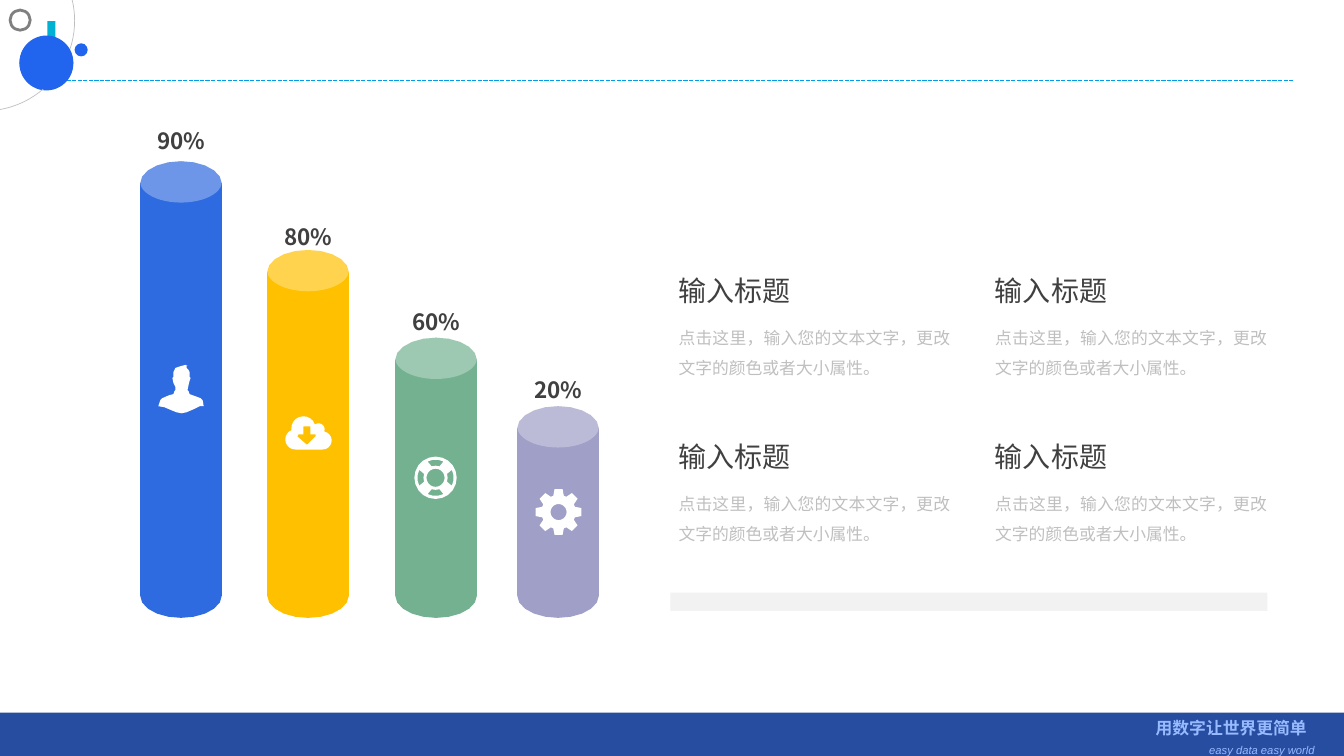
from dataclasses import dataclass
from itertools import product
from math import cos, radians, sin

from lxml.etree import SubElement
from pptx import Presentation
from pptx.dml.color import RGBColor
from pptx.enum.dml import MSO_LINE
from pptx.enum.shapes import MSO_CONNECTOR, MSO_SHAPE
from pptx.enum.text import MSO_ANCHOR, MSO_AUTO_SIZE, PP_ALIGN
from pptx.oxml.ns import qn
from pptx.util import Inches, Pt

Point = tuple[float, float]
Outline = list[Point]
NOTO = "Noto Sans CJK SC"
WHITE = "FFFFFF"
BLUE = "2164ED"
DARK = "404040"
BASE = 5.91
COLUMN_WIDTH = 0.81
CAP_HEIGHT = 0.41
CARD_TEXT = "点击这里，输入您的文本文字，更改文字的颜色或者大小属性。"

LABEL_FORMAT = {"size": Pt(16), "bold": True, "name": NOTO}
TITLE_FORMAT = {"size": Pt(20), "name": NOTO}
BODY_FORMAT = {"size": Pt(12), "name": NOTO}
SLOGAN_FORMAT = {"size": Pt(12), "bold": True, "name": "Arial"}
TAGLINE_FORMAT = {"size": Pt(8), "italic": True, "name": "Arial"}


@dataclass
class Preset:
    kind: MSO_SHAPE
    box: tuple[float, float, float, float]
    fill: str | None = None
    line: str | None = None
    weight: float = 1
    alpha: int = 100
    adjustments: tuple[float, ...] = ()


@dataclass
class Column:
    left: float
    top: float
    label_top: float
    label: str
    color: str
    icon: list[Outline]


def rgb(color: str) -> RGBColor:
    return RGBColor.from_string(color)


def paint(shape, fill: str | None, line: str | None = None, weight: float = 1) -> None:
    shape.shadow.inherit = False
    if fill:
        shape.fill.solid()
        shape.fill.fore_color.rgb = rgb(fill)
    else:
        shape.fill.background()
    if line:
        shape.line.color.rgb = rgb(line)
        shape.line.width = Pt(weight)
    else:
        shape.line.fill.background()


def add_preset(shapes, preset: Preset) -> None:
    shape = shapes.add_shape(preset.kind, *map(Inches, preset.box))
    paint(shape, preset.fill, preset.line, preset.weight)
    for index, value in enumerate(preset.adjustments):
        shape.adjustments[index] = value
    if preset.alpha < 100:
        color = shape.fill._xPr.find(".//" + qn("a:srgbClr"))
        SubElement(color, qn("a:alpha"), val=str(preset.alpha * 1000))


def add_outlines(shapes, outlines: list[Outline], fill: str) -> None:
    points = [[(Inches(x), Inches(y)) for x, y in outline] for outline in outlines]
    builder = shapes.build_freeform(*points[0][0], scale=1.0)
    builder.add_line_segments(points[0][1:], close=True)
    for hole in points[1:]:
        builder.move_to(*hole[0])
        builder.add_line_segments(hole[1:], close=True)
    paint(builder.convert_to_shape(), fill)


def add_text_box(shapes, box: tuple[float, float, float, float], margin: float = 0):
    frame = shapes.add_textbox(*map(Inches, box)).text_frame
    frame.word_wrap = True
    frame.auto_size = MSO_AUTO_SIZE.SHAPE_TO_FIT_TEXT
    frame.margin_left = frame.margin_right = Inches(margin)
    frame.margin_top = frame.margin_bottom = Inches(margin / 2)
    return frame


def write(paragraph, text: str, formats: dict, color: str, align: PP_ALIGN) -> None:
    paragraph.alignment = align
    run = paragraph.add_run()
    run.text = text
    for name, value in formats.items():
        setattr(run.font, name, value)
    run.font.color.rgb = rgb(color)
    SubElement(run.font._element, qn("a:ea"), typeface=formats["name"])


def arc(x: float, y: float, radius_x: float, radius_y: float,
        start: float = 0, end: float = 360) -> Outline:
    steps = max(2, round(abs(end - start) / 18))
    angles = [radians(start + (end - start) * i / steps) for i in range(steps + 1)]
    return [(x + radius_x * cos(a), y + radius_y * sin(a)) for a in angles]


def circle_part(x: float, y: float, radius: float, start: float = 0, end: float = 360) -> Outline:
    return arc(x, y, radius, radius, start, end)


# Icons
person = [[
    (2.01, 3.97), (1.99, 3.95), (1.88, 3.91), (1.87, 3.88), (1.86, 3.87), (1.87, 3.82),
    (1.88, 3.78), (1.89, 3.75), (1.88, 3.74), (1.88, 3.69), (1.87, 3.67), (1.85, 3.65),
    (1.85, 3.63), (1.86, 3.63), (1.84, 3.62), (1.8, 3.63), (1.74, 3.65), (1.72, 3.69),
    (1.72, 3.74), (1.71, 3.75), (1.72, 3.8), (1.74, 3.84), (1.74, 3.87), (1.73, 3.88),
    (1.72, 3.91), (1.68, 3.92), (1.61, 3.95), (1.59, 3.97), (1.57, 4.03), (1.63, 4.04),
    (1.7, 4.07), (1.75, 4.09), (1.8, 4.1), (1.85, 4.09), (1.92, 4.06), (1.98, 4.03), (2.02, 4.03)]]
cloud = [
    circle_part(2.93, 4.36, 0.1, 90, 250) + circle_part(3.01, 4.25, 0.12, 175, 340)
    + circle_part(3.16, 4.26, 0.06, 235, 390) + circle_part(3.2, 4.37, 0.09, 280, 450),
    [(3.01, 4.23), (3.08, 4.23), (3.08, 4.31), (3.13, 4.31), (3.13, 4.33),
     (3.05, 4.41), (3.04, 4.41), (2.95, 4.33), (2.96, 4.31), (3.01, 4.31)]]
lifebuoy = [circle_part(4.32, 4.74, radius) for radius in (0.21, 0.09)] + [
    circle_part(4.32, 4.74, 0.18, a - 26, a + 26) + circle_part(4.32, 4.74, 0.12, a + 19, a - 19)
    for a in range(0, 360, 90)]
gear_teeth = [(5.54 + r * cos(radians(a + turn)), 5.08 + r * sin(radians(a + turn)))
              for a in range(0, 360, 45)
              for r, turn in ((0.17, -18), (0.23, -10), (0.23, 10), (0.17, 18))]
gear = [gear_teeth, circle_part(5.54, 5.08, 0.08)]

columns = [
    Column(1.39, 1.6, 1.27, "90%", "2E6AE0", person),
    Column(2.65, 2.48, 2.22, "80%", "FFC000", cloud),
    Column(3.92, 3.35, 3.06, "60%", "74B191", lifebuoy),
    Column(5.13, 4.03, 3.74, "20%", "9F9FC7", gear)]

footer_bar = Preset(MSO_SHAPE.RECTANGLE, (0, 7.07, 13.33, 0.44), "274DA1")
teal_tab = Preset(MSO_SHAPE.RECTANGLE, (0.47, 0.21, 0.08, 0.59), "00B1D4")
lower_disc, upper_disc = (
    Preset(MSO_SHAPE.OVAL, (0.2, top, 0.52, 0.52), BLUE, BLUE) for top in (0.37, 0.36))
corner = [
    Preset(MSO_SHAPE.ARC, (-1.05, -0.69, 1.79, 1.79), None, "BFBFBF", 0.5,
           adjustments=(207.72, 48.6)),
    upper_disc,
    Preset(MSO_SHAPE.OVAL, (0.74, 0.43, 0.13, 0.13), BLUE),
    Preset(MSO_SHAPE.OVAL, (0.1, 0.1, 0.2, 0.2), None, "808080", 2)]


def add_column(shapes, column: Column) -> None:
    center, radius = column.left + COLUMN_WIDTH / 2, COLUMN_WIDTH / 2
    body = (arc(center, column.top + 0.22, radius, 0.22, 180, 360)
            + arc(center, BASE, radius, 0.22, 0, 180))
    add_outlines(shapes, [body], column.color)
    cap_box = (column.left, column.top, COLUMN_WIDTH, CAP_HEIGHT)
    add_preset(shapes, Preset(MSO_SHAPE.OVAL, cap_box, WHITE, alpha=30))
    frame = add_text_box(shapes, (center - 0.24, column.label_top, 0.48, 0.26))
    frame.word_wrap = False
    frame.vertical_anchor = MSO_ANCHOR.BOTTOM
    write(frame.paragraphs[0], column.label, LABEL_FORMAT, DARK, PP_ALIGN.CENTER)
    add_outlines(shapes, column.icon, WHITE)


def add_card(shapes, left: float, top: float) -> None:
    title = add_text_box(shapes, (left, top, 1.27, 0.34)).paragraphs[0]
    write(title, "输入标题", TITLE_FORMAT, DARK, PP_ALIGN.CENTER)
    body = add_text_box(shapes, (left + 0.08, top + 0.44, 2.7, 0.57)).paragraphs[0]
    body.line_spacing = 1.5
    write(body, CARD_TEXT, BODY_FORMAT, "BFBFBF", PP_ALIGN.JUSTIFY)


def main() -> None:
    presentation = Presentation()
    presentation.slide_width, presentation.slide_height = Inches(13.33), Inches(7.5)
    slide = presentation.slides.add_slide(presentation.slide_layouts[6])
    shapes = slide.shapes

    # Header rule
    add_preset(shapes, teal_tab)
    rule = shapes.add_connector(MSO_CONNECTOR.STRAIGHT, *map(Inches, (0.55, 0.8, 12.83, 0.8)))
    rule.line.color.rgb = rgb("009EE7")
    rule.line.width = Pt(1)
    rule.line.dash_style = MSO_LINE.SQUARE_DOT
    SubElement(rule._element.spPr, qn("a:effectLst"))
    add_preset(shapes, lower_disc)

    # Footer
    add_preset(shapes, footer_bar)
    footer = add_text_box(shapes, (11.36, 7.07, 1.78, 0.44), 0.1)
    slogan, tagline = footer.paragraphs[0], footer.add_paragraph()
    write(slogan, "用数字让世界更简单", SLOGAN_FORMAT, "98BAFF", PP_ALIGN.RIGHT)
    write(tagline, "easy data easy world", TAGLINE_FORMAT, "98BAFF", PP_ALIGN.RIGHT)
    tagline.space_before = Pt(4)
    for paragraph, indent in ((slogan, 0.08), (tagline, 0)):
        paragraph._p.get_or_add_pPr().set("marR", str(Inches(indent)))

    # Corner ornament
    for preset in corner:
        add_preset(shapes, preset)

    # Column chart
    chart = shapes.add_group_shape()
    for column in columns:
        add_column(chart.shapes, column)

    # Text cards
    for left, top in product((6.65, 9.79), (2.71, 4.36)):
        add_card(shapes.add_group_shape().shapes, left, top)
    add_preset(shapes, Preset(MSO_SHAPE.RECTANGLE, (6.65, 5.88, 5.92, 0.18), "F2F2F2"))

    presentation.save("out.pptx")


if __name__ == "__main__":
    main()
